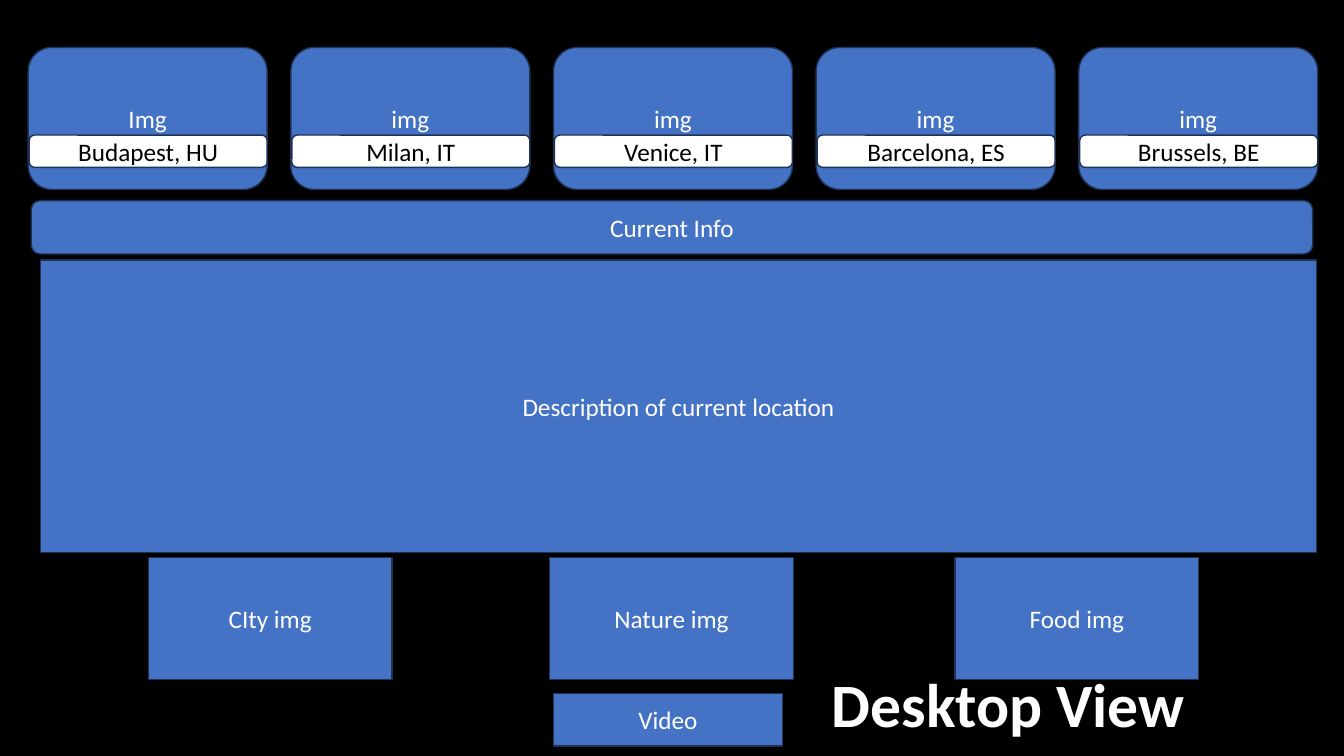
import pptx
import pptx.dml.color
import pptx.enum.shapes
import pptx.enum.text
import pptx.util

Inches = pptx.util.Inches
Shapes = pptx.enum.shapes.MSO_SHAPE
Anchor = pptx.enum.text.MSO_ANCHOR

BLUE, OUTLINE, WHITE, BLACK = "4472C4", "1E3256", "FFFFFF", "000000"


def colour(value):
    return pptx.dml.color.RGBColor.from_string(value)


def paint(fill, value):
    fill.solid()
    fill.fore_color.rgb = colour(value)


def write(shape, text, text_colour, anchor, size=18, bold=False):
    frame = shape.text_frame
    frame.text = text
    frame_format = {
        "word_wrap": True,
        "auto_size": pptx.enum.text.MSO_AUTO_SIZE.NONE,
        "vertical_anchor": anchor,
    }
    for name, value in frame_format.items():
        setattr(frame, name, value)
    paragraph = frame.paragraphs[0]
    paragraph.alignment = pptx.enum.text.PP_ALIGN.CENTER
    font = paragraph.runs[0].font
    font_format = {"name": "Calibri", "size": pptx.util.Pt(size), "bold": bold}
    for name, value in font_format.items():
        setattr(font, name, value)
    font.color.rgb = colour(text_colour)


def add_block(slide, box, text, kind=Shapes.RECTANGLE, fill=BLUE, text_colour=WHITE):
    shape = slide.shapes.add_shape(kind, *map(Inches, box))
    shape.shadow.inherit = False
    paint(shape.fill, fill)
    paint(shape.line.fill, OUTLINE)
    shape.line.width = pptx.util.Pt(1)
    write(shape, text, text_colour, Anchor.MIDDLE)


def add_city_cards(slide, box, cities):
    left, top, width, height = box
    card_width = 2.37
    step = (width - card_width) / (len(cities) - 1)
    for index, (caption, city) in enumerate(cities):
        card_left = left + index * step
        add_block(slide, (card_left, top, card_width, height), caption,
                  Shapes.ROUNDED_RECTANGLE)
        add_block(slide, (card_left + 0.01, top + 0.87, card_width - 0.01, 0.32), city,
                  Shapes.ROUNDED_RECTANGLE, WHITE, BLACK)


def add_location_info(slide, box):
    left, top, width, height = box
    add_block(slide, (left, top, width - 0.04, 0.53), "Current Info",
              Shapes.ROUNDED_RECTANGLE)
    add_block(slide, (left + 0.09, top + 0.59, width - 0.09, height - 0.59),
              "Description of current location")


def add_media(slide, box):
    left, top, width, height = box
    image_width = 2.42
    images = {"CIty img": 0, "Nature img": 3.98, "Food img": width - image_width}
    for text, offset in images.items():
        add_block(slide, (left + offset, top, image_width, 1.21), text)
    add_block(slide, (left + 4.02, top + height - 0.52, 2.27, 0.52), "Video")


def add_title(slide, box, text):
    title = slide.shapes.title
    for name, value in zip(("left", "top", "width", "height"), box):
        setattr(title, name, Inches(value))
    write(title, text, WHITE, Anchor.TOP, size=44, bold=True)


def build_desktop_view(presentation):
    slide = presentation.slides.add_slide(presentation.slide_layouts.get_by_name("Title Only"))
    paint(slide.background.fill, BLACK)
    add_city_cards(slide, (0.28, 0.47, 12.79, 1.41), [
        ("Img", "Budapest, HU"),
        ("img", "Milan, IT"),
        ("img", "Venice, IT"),
        ("img", "Barcelona, ES"),
        ("img", "Brussels, BE"),
    ])
    add_location_info(slide, (0.31, 1.99, 12.75, 3.49))
    add_media(slide, (1.47, 5.53, 10.42, 1.87))
    add_title(slide, (8.1, 6.56, 3.8, 0.84), "Desktop View")


presentation = pptx.Presentation()
presentation.slide_width = Inches(13.33)
presentation.slide_height = Inches(7.5)
build_desktop_view(presentation)
presentation.save("out.pptx")
